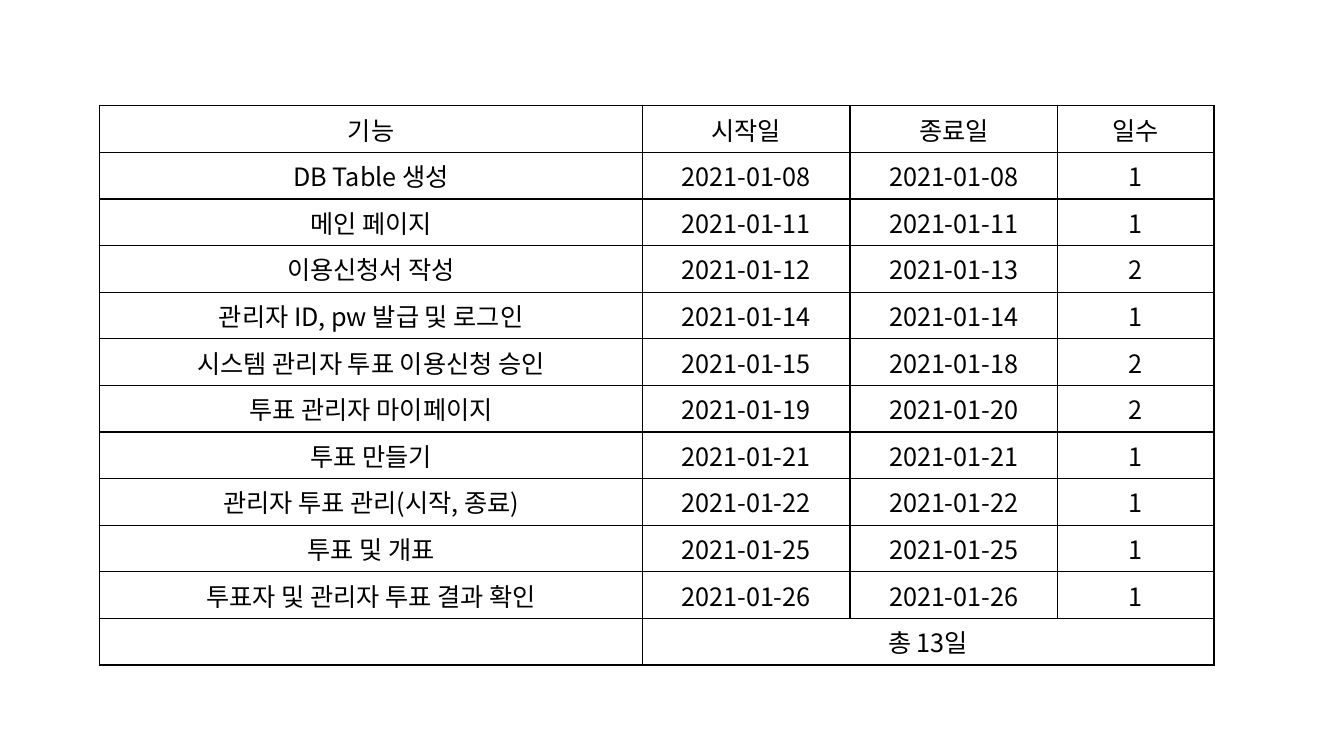
from lxml import etree
from pptx import Presentation
from pptx.dml.color import RGBColor
from pptx.enum import text
from pptx.oxml import ns
from pptx.util import Inches, Pt

FONT = "Noto Sans CJK KR"
BLACK, WHITE = "000000", "FFFFFF"
COLUMN_WIDTHS = [5.38, 2.06, 2.06, 1.55]
ROW_HEIGHT = 0.41
SCHEDULE = [
    ("기능", "시작일", "종료일", "일수"),
    ("DB Table 생성", "2021-01-08", "2021-01-08", "1"),
    ("메인 페이지", "2021-01-11", "2021-01-11", "1"),
    ("이용신청서 작성", "2021-01-12", "2021-01-13", "2"),
    ("관리자 ID, pw 발급 및 로그인", "2021-01-14", "2021-01-14", "1"),
    ("시스템 관리자 투표 이용신청 승인", "2021-01-15", "2021-01-18", "2"),
    ("투표 관리자 마이페이지", "2021-01-19", "2021-01-20", "2"),
    ("투표 만들기", "2021-01-21", "2021-01-21", "1"),
    ("관리자 투표 관리(시작, 종료)", "2021-01-22", "2021-01-22", "1"),
    ("투표 및 개표", "2021-01-25", "2021-01-25", "1"),
    ("투표자 및 관리자 투표 결과 확인", "2021-01-26", "2021-01-26", "1"),
    ("", "총 13일", "", ""),
]


def color(value):
    return RGBColor.from_string(value)


def set_borders(cell, value, points):
    properties = cell._tc.get_or_add_tcPr()
    for side in ("lnL", "lnR", "lnT", "lnB"):
        line = etree.SubElement(properties, ns.qn(f"a:{side}"), w=str(Pt(points)))
        fill = etree.SubElement(line, ns.qn("a:solidFill"))
        etree.SubElement(fill, ns.qn("a:srgbClr"), val=value)


def format_span(span):
    span.font.size = Pt(18)
    span.font.color.rgb = color(BLACK)
    span.font.name = FONT
    # Korean glyphs take the East Asian typeface
    etree.SubElement(span.font._element, ns.qn("a:ea"), typeface=FONT)


def fill_cell(cell, content):
    set_borders(cell, BLACK, 1)
    cell.fill.solid()
    cell.fill.fore_color.rgb = color(WHITE)
    cell.vertical_anchor = text.MSO_ANCHOR.MIDDLE
    para = cell.text_frame.paragraphs[0]
    para.alignment = text.PP_ALIGN.CENTER
    if content:
        para.text = content
        for span in para.runs:
            format_span(span)


def add_schedule(page):
    frame = page.shapes.add_table(
        len(SCHEDULE), len(COLUMN_WIDTHS), Inches(0.99), Inches(1.05),
        Inches(sum(COLUMN_WIDTHS)), Inches(ROW_HEIGHT * len(SCHEDULE)))
    table = frame.table
    table.first_row = table.horz_banding = False
    for column, width in zip(table.columns, COLUMN_WIDTHS):
        column.width = Inches(width)
    for row, contents in zip(table.rows, SCHEDULE):
        row.height = Inches(ROW_HEIGHT)
        for cell, content in zip(row.cells, contents):
            fill_cell(cell, content)
    last = len(SCHEDULE) - 1
    table.cell(last, 1).merge(table.cell(last, 3))


def main():
    deck = Presentation()
    deck.slide_width, deck.slide_height = Inches(13.33), Inches(7.5)
    page = deck.slides.add_slide(deck.slide_layouts[6])
    add_schedule(page)
    deck.save("out.pptx")


if __name__ == "__main__":
    main()
